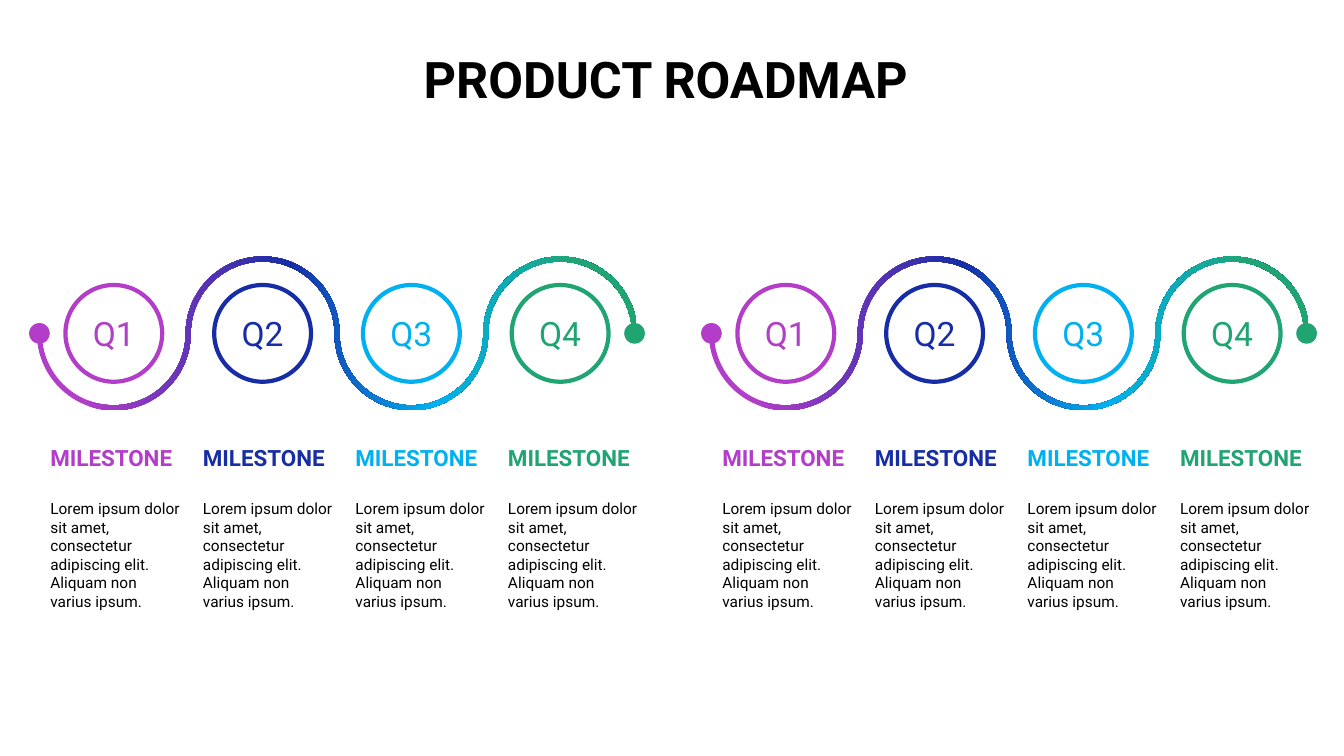
from lxml import etree
from pptx import Presentation
from pptx.dml.color import RGBColor
from pptx.enum.shapes import MSO_SHAPE
from pptx.enum.text import MSO_ANCHOR, PP_ALIGN
from pptx.oxml.ns import qn
from pptx.util import Inches, Pt

OVAL = MSO_SHAPE.OVAL
MIDDLE, TOP = MSO_ANCHOR.MIDDLE, MSO_ANCHOR.TOP
CENTER, LEFT = PP_ALIGN.CENTER, PP_ALIGN.LEFT

WIDTH, HEIGHT = Inches(13.33), Inches(7.5)
FONT = "Roboto"
BLACK, WHITE = "000000", "FFFFFF"
QUARTERS = [("Q1", "B13DC8"), ("Q2", "172DA6"), ("Q3", "00B0F0"), ("Q4", "20A472")]
GRADIENT_STOPS = [8, 42, 66, 90]
LOREM = ("Lorem ipsum dolor sit amet, consectetur adipiscing elit. "
         "Aliquam non varius ipsum.")

# Shares of the slide's size, in percent
ROADMAP_STEP = 50
FIRST_CENTER, QUARTER_STEP, WAVE_ROW = 8.47, 11.07, 44.1
RING_SIZE, DOT_SIZE, BAND = 7.2, 1.54, 0.38
FIRST_TEXT, TEXT_STEP, TEXT_WIDTH = 3.75, 11.35, 9.7
ROUNDNESS = 0.55


def across(share):
    """Turn a percentage of the slide's width into a length."""
    return round(WIDTH * share / 100)


def down(share):
    """Turn a percentage of the slide's height into a length."""
    return round(HEIGHT * share / 100)


def color(hex_text):
    """Turn a hex string into a colour."""
    return RGBColor.from_string(hex_text)


def paint(shape, hex_text):
    """Give a shape a solid fill and no shadow."""
    shape.shadow.inherit = False
    shape.fill.solid()
    shape.fill.fore_color.rgb = color(hex_text)


def write(frame, text, size, hex_text, bold=False, align=LEFT, anchor=TOP, spacing=1.0):
    """Write one paragraph of one run into a text frame."""
    frame.word_wrap = True
    frame.vertical_anchor = anchor
    para = frame.paragraphs[0]
    para.alignment = align
    para.line_spacing = spacing
    span = para.add_run()
    span.text = text
    span.font.name = FONT
    span.font.size = Pt(size)
    span.font.bold = bold
    span.font.color.rgb = color(hex_text)


def add_text(page, left, top, width, height, text, size, hex_text, **style):
    """Add a text box without side insets."""
    box = page.shapes.add_textbox(across(left), down(top), across(width), down(height))
    box.text_frame.margin_left = box.text_frame.margin_right = 0
    write(box.text_frame, text, size, hex_text, **style)


def add_circle(page, center, size, fill):
    """Add a circle centred on the wave's row."""
    diameter = across(size)
    circle = page.shapes.add_shape(OVAL, across(center) - diameter // 2,
                                   down(WAVE_ROW) - diameter // 2, diameter, diameter)
    paint(circle, fill)
    circle.line.fill.background()
    return circle


def add_ring(page, center, label, hex_text):
    """Add an outlined circle that names a quarter."""
    ring = add_circle(page, center, RING_SIZE, WHITE)
    ring.line.color.rgb = color(hex_text)
    ring.line.width = Pt(3)
    write(ring.text_frame, label, 24, hex_text, align=CENTER, anchor=MIDDLE)


def wave_edge(first_center, offset):
    """List the crossings and turning points of one edge of the wave."""
    row = down(WAVE_ROW)
    points = []
    for index in range(len(QUARTERS)):
        side = 1 if index % 2 == 0 else -1
        radius = across(QUARTER_STEP / 2 + side * offset)
        middle = across(first_center + index * QUARTER_STEP)
        if index == 0:
            points.append((middle - radius, row))
        points += [(middle, row + side * radius), (middle + radius, row)]
    return points


def round_corners(wave, straight):
    """Turn every segment but the straight one into a quarter of a circle."""
    segments = list(wave.element.iter(qn("a:lnTo")))
    start = next(wave.element.iter(qn("a:moveTo")))[0]
    x, y = int(start.get("x")), int(start.get("y"))
    upright = True
    for index, segment in enumerate(segments):
        end_x, end_y = int(segment[0].get("x")), int(segment[0].get("y"))
        if index != straight:
            reach_x, reach_y = ROUNDNESS * (end_x - x), ROUNDNESS * (end_y - y)
            if upright:
                controls = [(x, y + reach_y), (end_x - reach_x, end_y)]
            else:
                controls = [(x + reach_x, y), (end_x, end_y - reach_y)]
            segment.tag = qn("a:cubicBezTo")
            for place, (left, top) in enumerate(controls):
                point = etree.Element(qn("a:pt"), x=str(round(left)), y=str(round(top)))
                segment.insert(place, point)
            upright = not upright
        x, y = end_x, end_y


def add_wave(page, first_center):
    """Add the winding band that runs through the quarters' colours."""
    upper = wave_edge(first_center, -BAND / 2)
    lower = wave_edge(first_center, BAND / 2)
    builder = page.shapes.build_freeform(*upper[0])
    builder.add_line_segments(upper[1:] + lower[::-1])
    wave = builder.convert_to_shape()
    round_corners(wave, len(upper) - 1)
    wave.shadow.inherit = False
    wave.line.fill.background()
    wave.fill.gradient()
    wave.fill.gradient_angle = 0
    stops = next(wave.element.iter(qn("a:gsLst")))
    for stop in list(stops):
        stops.remove(stop)
    for share, (_, hex_text) in zip(GRADIENT_STOPS, QUARTERS):
        stop = etree.SubElement(stops, qn("a:gs"), pos=str(share * 1000))
        etree.SubElement(stop, qn("a:srgbClr"), val=hex_text)


def add_roadmap(page, start):
    """Add a wave with its four quarters and their milestones."""
    first_center = start + FIRST_CENTER
    wave_start = first_center - QUARTER_STEP / 2
    wave_end = wave_start + len(QUARTERS) * QUARTER_STEP
    add_wave(page, first_center)
    for index, (label, hex_text) in enumerate(QUARTERS):
        add_ring(page, first_center + index * QUARTER_STEP, label, hex_text)
        left = start + FIRST_TEXT + index * TEXT_STEP
        add_text(page, left, 58.53, TEXT_WIDTH, 4.4, "MILESTONE", 16, hex_text,
                 bold=True, spacing=0.9)
        add_text(page, left, 65.42, TEXT_WIDTH, 17.2, LOREM, 11, BLACK)
    add_circle(page, wave_start, DOT_SIZE, QUARTERS[0][1])
    add_circle(page, wave_end, DOT_SIZE, QUARTERS[-1][1])


def main():
    """Build the slide and save it."""
    deck = Presentation()
    deck.slide_width, deck.slide_height = WIDTH, HEIGHT
    page = deck.slides.add_slide(deck.slide_layouts[6])
    for index in range(2):
        add_roadmap(page, index * ROADMAP_STEP)
    add_text(page, 1.88, 6.67, 96.24, 9.2, "PRODUCT ROADMAP ", 36, BLACK,
             bold=True, align=CENTER, spacing=0.9)
    deck.save("out.pptx")


main()
